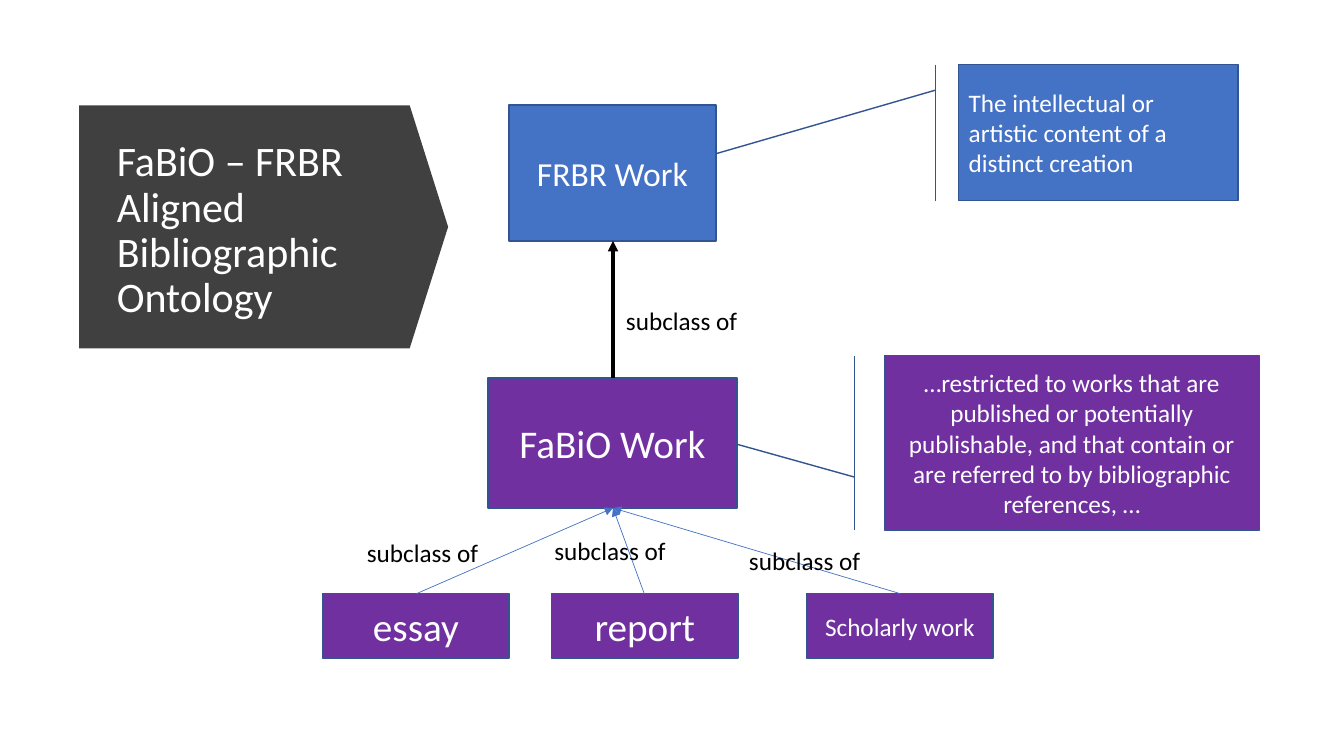
from lxml import etree
from pptx import Presentation
from pptx.dml.color import RGBColor
from pptx.enum.shapes import MSO_CONNECTOR, MSO_SHAPE
from pptx.enum.text import MSO_ANCHOR, PP_ALIGN
from pptx.oxml.ns import qn
from pptx.util import Inches, Pt

BLUE, PURPLE, DARK, OUTLINE = "4472C4", "7030A0", "404040", "325491"
WHITE, BLACK = "FFFFFF", "000000"
CALLOUT = MSO_SHAPE.LINE_CALLOUT_1_BORDER_AND_ACCENT_BAR


def color(value):
    return RGBColor.from_string(value)


def write(shape, text, size=18, font_color=WHITE, align=PP_ALIGN.CENTER,
          anchor=MSO_ANCHOR.MIDDLE, wrap=True, spacing=None):
    frame = shape.text_frame
    frame.text = text
    frame.word_wrap = wrap
    frame.vertical_anchor = anchor
    for paragraph in frame.paragraphs:
        paragraph.alignment = align
        paragraph.line_spacing = spacing
        paragraph.font.name = "Calibri"
        paragraph.font.size = Pt(size)
        paragraph.font.color.rgb = color(font_color)


presentation = Presentation()
presentation.slide_width, presentation.slide_height = Inches(13.33), Inches(7.5)
slide = presentation.slides.add_slide(presentation.slide_layouts[6])
shapes = slide.shapes

# Title on an arrow that points right
arrow = shapes.add_shape(MSO_SHAPE.DOWN_ARROW, Inches(1.41), Inches(0.42), Inches(2.41), Inches(3.66))
arrow.adjustments[0], arrow.adjustments[1] = 1, 0.158
arrow.rotation = 270
arrow.shadow.inherit = False
arrow.fill.solid()
arrow.fill.fore_color.rgb = color(DARK)
arrow.line.fill.background()
title = shapes.add_textbox(Inches(1.06), Inches(1.32), Inches(2.92), Inches(1.95))
write(title, "FaBiO – FRBR Aligned Bibliographic Ontology", size=30, align=PP_ALIGN.LEFT, spacing=0.9)

# Class boxes and their definition callouts
definition = "The intellectual or artistic content of a\ndistinct creation"
restriction = ("…restricted to works that are published or potentially publishable, "
               "and that contain or are referred to by bibliographic references, …")
boxes = [
    ("FRBR Work", 5.05, 1.04, 2.05, 1.35, BLUE, 24, PP_ALIGN.CENTER, None),
    (definition, 9.51, 0.64, 2.77, 1.35, BLUE, 18, PP_ALIGN.LEFT, (0.188, -0.083, 0.657, -0.872)),
    ("FaBiO Work", 4.84, 3.75, 2.47, 1.29, PURPLE, 28, PP_ALIGN.CENTER, None),
    (restriction, 8.77, 3.53, 3.72, 1.73, PURPLE, 18, PP_ALIGN.CENTER, (0.696, -0.079, 0.505, -0.397)),
]
for text, left, size in [("essay", 3.2, 28), ("report", 5.47, 28), ("Scholarly work", 8, 18)]:
    boxes.append((text, left, 5.89, 1.85, 0.64, PURPLE, size, PP_ALIGN.CENTER, None))

for text, left, top, width, height, fill, size, align, leader in boxes:
    kind = CALLOUT if leader else MSO_SHAPE.RECTANGLE
    box = shapes.add_shape(kind, Inches(left), Inches(top), Inches(width), Inches(height))
    for index, value in enumerate(leader or ()):
        box.adjustments[index] = value
    box.shadow.inherit = False
    box.fill.solid()
    box.fill.fore_color.rgb = color(fill)
    box.line.color.rgb = color(OUTLINE)
    box.line.width = Pt(1)
    write(box, text, size=size, align=align)

# Subclass arrows: start, end, colour, width
arrows = [(6.08, 3.75, 2.39, BLACK, 2.5)]
arrows += [(start, 5.89, 5.04, BLUE, 0.5) for start in (4.13, 6.39, 8.93)]
for start, bottom, top, line_color, width in arrows:
    link = shapes.add_connector(MSO_CONNECTOR.STRAIGHT, Inches(start), Inches(bottom), Inches(6.08), Inches(top))
    link.line.color.rgb = color(line_color)
    link.line.width = Pt(width)
    etree.SubElement(link.line._get_or_add_ln(), qn("a:tailEnd"), type="triangle")
    etree.SubElement(link._element.spPr, qn("a:effectLst"))

# Arrow labels
for left, top in [(6.11, 2.98), (3.54, 5.28), (5.4, 5.26), (7.33, 5.36)]:
    label = shapes.add_textbox(Inches(left), Inches(top), Inches(1.32), Inches(0.4))
    write(label, "subclass of", font_color=BLACK, align=PP_ALIGN.LEFT, anchor=MSO_ANCHOR.TOP, wrap=False)

presentation.save("out.pptx")
